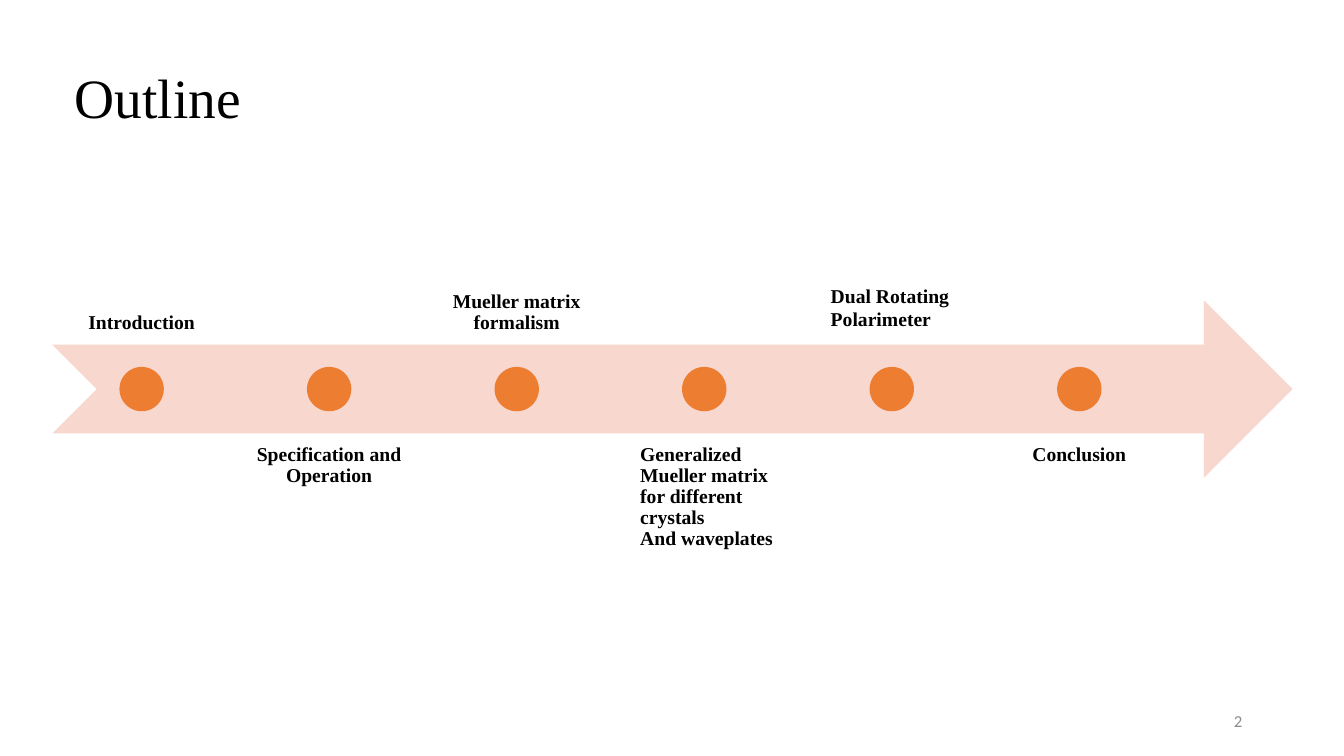
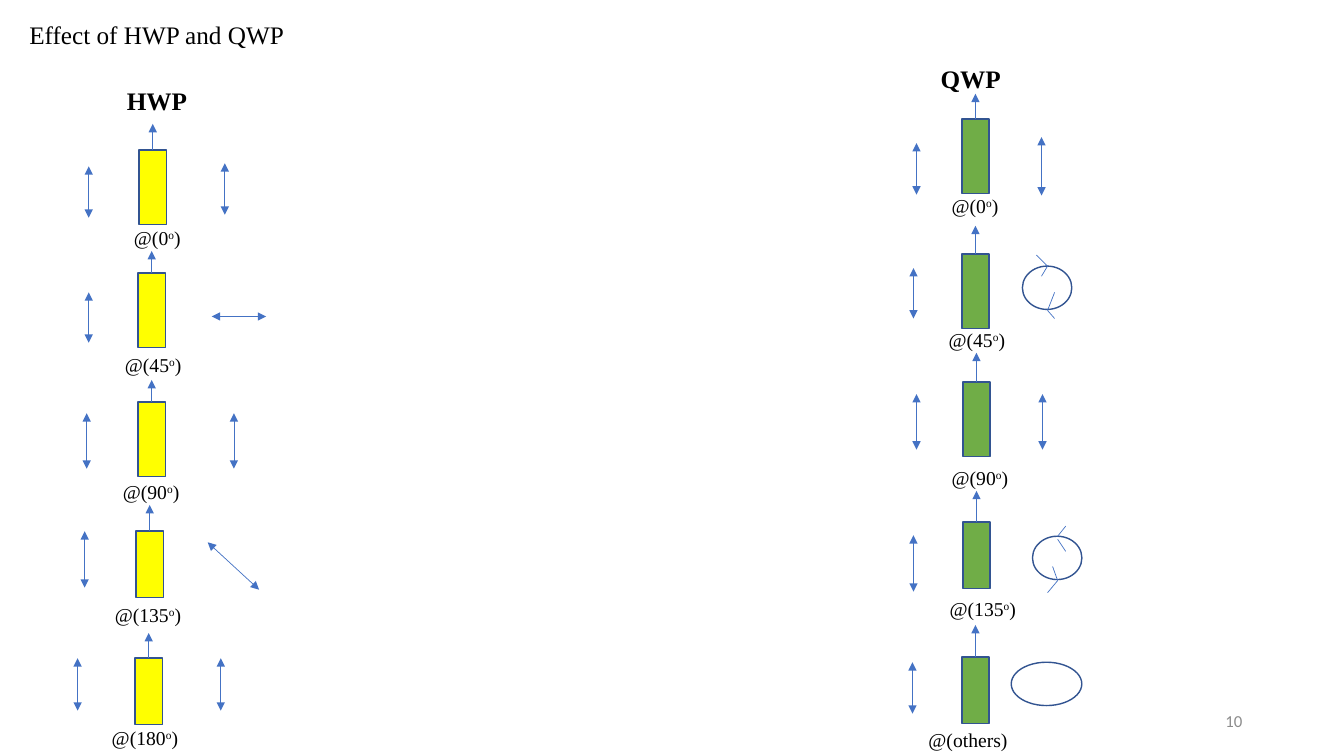
from collections import namedtuple

from lxml.etree import SubElement
from pptx import Presentation
from pptx.dml.color import RGBColor
from pptx.enum.shapes import MSO_CONNECTOR, MSO_SHAPE
from pptx.enum.text import MSO_ANCHOR, MSO_AUTO_SIZE, PP_ALIGN
from pptx.oxml.ns import qn
from pptx.util import Inches, Pt

SERIF = "Times New Roman"
BLACK, GREY = "000000", "8C8C8C"
PEACH, ORANGE = "F8D7CE", "ED7D31"
YELLOW, GREEN = "FFFF00", "70AD47"
OUTLINE, BEAM = "325491", "4472C4"

# Timeline grid
STEP, LABEL_W, LABEL_H, DOT = 1.86, 1.77, 1.76, 0.44
BAND_LEFT, BAND_TOP, BAND_W, BAND_H = 0.52, 2.98, 12.3, 1.76
ABOVE = {"top": 1.66, "anchor": MSO_ANCHOR.BOTTOM}
BELOW = {"top": 4.3, "anchor": MSO_ANCHOR.TOP}

# Wave plate rows
PLATE_W, PLATE_HEIGHTS = 0.27, (0.74, 0.74, 0.74, 0.66, 0.66)
Row = namedtuple("Row", "left top axis_tip in_x in_top in_bottom label_x label_y label")

HWP_ROWS = [
    Row(1.38, 1.49, 1.23, 0.88, 1.65, 2.16, 1.23, 2.19, "@(0^o^)"),
    Row(1.37, 2.71, 2.49, 0.88, 2.9, 3.4, 1.14, 3.45, "@(45^o^)"),
    Row(1.37, 3.99, 3.77, 0.86, 4.1, 4.65, 1.12, 4.71, "@(90^o^)"),
    Row(1.35, 5.27, 5.01, 0.84, 5.27, 5.83, 1.04, 5.93, "@(135^o^)"),
    Row(1.34, 6.53, 6.28, 0.77, 6.53, 7.05, 1.01, 7.15, "@(180^o^)"),
]
QWP_ROWS = [
    Row(9.54, 1.18, 0.93, 9.09, 1.42, 1.93, 9.34, 1.87, "@(0^o^)"),
    Row(9.54, 2.52, 2.24, 9.06, 2.66, 3.16, 9.31, 3.2, "@(45^o^)"),
    Row(9.55, 3.79, 3.5, 9.09, 3.91, 4.46, 9.34, 4.57, "@(90^o^)"),
    Row(9.55, 5.18, 4.87, 9.06, 5.31, 5.87, 9.32, 5.87, "@(135^o^)"),
    Row(9.54, 6.52, 6.2, 9.05, 6.57, 7.08, 9.11, 7.17, "@(others)"),
]
LINEAR_OUTPUTS = [
    (2.23, 1.62, 2.23, 2.13), (2.1, 3.14, 2.64, 3.14), (2.32, 4.1, 2.32, 4.65),
    (2.06, 5.38, 2.57, 5.85), (2.19, 6.53, 2.19, 7.05),
    (10.33, 1.36, 10.33, 1.94), (10.34, 3.91, 10.34, 4.46),
]
ELLIPTIC_OUTPUTS = [
    (10.14, 2.64, 0.49, 0.43), (10.24, 5.32, 0.49, 0.43), (10.03, 6.57, 0.7, 0.43),
]
ROTATION_TICKS = [
    (10.39, 2.64, 10.33, 2.74), (10.39, 2.64, 10.28, 2.53),
    (10.39, 3.08, 10.46, 2.9), (10.39, 3.08, 10.46, 3.16),
    (10.49, 5.32, 10.57, 5.22), (10.49, 5.35, 10.57, 5.47),
    (10.49, 5.76, 10.44, 5.62), (10.49, 5.76, 10.39, 5.88),
]


def rgb(value):
    return RGBColor.from_string(value)


def set_attrs(obj, values):
    for name, value in values.items():
        setattr(obj, name, value)


def write(tf, lines, size, color=BLACK, font=SERIF, bold=False, anchor=MSO_ANCHOR.TOP,
          align=PP_ALIGN.LEFT, spacing=1.0, inset=None):
    """Fill a text frame; text between ^ marks is superscript."""
    set_attrs(tf, {"word_wrap": True, "auto_size": MSO_AUTO_SIZE.NONE,
                   "vertical_anchor": anchor})
    if inset is not None:
        for side in ("left", "top", "right", "bottom"):
            setattr(tf, f"margin_{side}", Inches(inset))
    for i, line in enumerate(lines):
        p = tf.add_paragraph() if i else tf.paragraphs[0]
        set_attrs(p, {"alignment": align, "line_spacing": spacing})
        for j, piece in enumerate(line.split("^")):
            r = p.add_run()
            r.text = piece
            set_attrs(r.font, {"name": font, "size": Pt(size), "bold": bold})
            r.font.color.rgb = rgb(color)
            if j % 2:
                r.font._element.set("baseline", "30000")


def text(s, box, lines, size, **style):
    tb = s.shapes.add_textbox(*map(Inches, box))
    write(tb.text_frame, lines, size, **style)


def shape(s, kind, box, fill=None, line=None):
    sp = s.shapes.add_shape(kind, *map(Inches, box))
    sp.shadow.inherit = False
    if fill:
        sp.fill.solid()
        sp.fill.fore_color.rgb = rgb(fill)
    else:
        sp.fill.background()
    if line:
        sp.line.color.rgb = rgb(line)
        sp.line.width = Pt(1)
    else:
        sp.line.fill.background()


def beam(s, ends, head=False, tail=False):
    """Thin line; head and tail put arrowheads at its start and its end."""
    c = s.shapes.add_connector(MSO_CONNECTOR.STRAIGHT, *map(Inches, ends))
    c.line.color.rgb = rgb(BEAM)
    c.line.width = Pt(0.5)
    ln = c.line._get_or_add_ln()
    for tag, wanted in (("a:headEnd", head), ("a:tailEnd", tail)):
        if wanted:
            SubElement(ln, qn(tag), type="triangle")
    SubElement(c._element.spPr, qn("a:effectLst"))


def new_slide(prs, title, box, size, number, **style):
    s = prs.slides.add_slide(prs.slide_layouts[5])
    names = ("left", "top", "width", "height")
    set_attrs(s.shapes.title, dict(zip(names, map(Inches, box))))
    write(s.shapes.title.text_frame, [title], size, **style)
    text(s, (9.42, 6.95, 3, 0.4), [number], 12, color=GREY, font="Calibri",
         anchor=MSO_ANCHOR.MIDDLE, align=PP_ALIGN.RIGHT)
    return s


def milestone(s, column, lines, top, shift=0, **style):
    left = BAND_LEFT + column * STEP
    dot_left = left + (LABEL_W - DOT) / 2
    dot_top = BAND_TOP + (BAND_H - DOT) / 2
    shape(s, MSO_SHAPE.OVAL, (dot_left, dot_top, DOT, DOT), ORANGE)
    look = {"align": PP_ALIGN.CENTER, "spacing": 0.9, "inset": 0.11} | style
    text(s, (left + shift, top, LABEL_W, LABEL_H), lines, 14, bold=True, **look)


def outline_slide(prs):
    s = new_slide(prs, "Outline", (0.64, 0.77, 12.06, 0.46), 39.6, "2",
                  anchor=MSO_ANCHOR.MIDDLE, spacing=0.9)
    shape(s, MSO_SHAPE.NOTCHED_RIGHT_ARROW, (BAND_LEFT, BAND_TOP, BAND_W, BAND_H), PEACH)
    left = {"align": PP_ALIGN.LEFT}
    milestones = [
        (["Introduction"], ABOVE),
        (["Specification and Operation"], BELOW),
        (["Mueller matrix formalism"], ABOVE),
        (["Generalized Mueller matrix for different crystals", "And waveplates"],
         BELOW | left | {"shift": 0.14, "spacing": Pt(15)}),
        (["Dual Rotating Polarimeter"],
         ABOVE | left | {"top": 1.63, "shift": 0.17, "spacing": 1.0}),
        (["Conclusion"], BELOW),
    ]
    for column, (lines, style) in enumerate(milestones):
        milestone(s, column, lines, **style)


def plate_row(s, row, height, fill):
    axis_x = row.left + PLATE_W / 2
    shape(s, MSO_SHAPE.RECTANGLE, (row.left, row.top, PLATE_W, height), fill, OUTLINE)
    beam(s, (axis_x, row.top, axis_x, row.axis_tip), tail=True)
    beam(s, (row.in_x, row.in_top, row.in_x, row.in_bottom), head=True, tail=True)
    text(s, (row.label_x, row.label_y, 1.2, 0.34), [row.label], 14)


def wave_plate_slide(prs):
    s = new_slide(prs, "Effect of HWP and QWP", (0.19, 0.14, 10.55, 0.4), 18, "10")
    columns = [("HWP", 1.16, 0.8, YELLOW, HWP_ROWS), ("QWP", 9.23, 0.58, GREEN, QWP_ROWS)]
    for name, x, y, fill, rows in columns:
        text(s, (x, y, 0.91, 0.41), [name], 18, bold=True)
        for row, height in zip(rows, PLATE_HEIGHTS):
            plate_row(s, row, height, fill)
    for ends in LINEAR_OUTPUTS:
        beam(s, ends, head=True, tail=True)
    for box in ELLIPTIC_OUTPUTS:
        shape(s, MSO_SHAPE.OVAL, box, line=OUTLINE)
    for ends in ROTATION_TICKS:
        beam(s, ends)


def main():
    prs = Presentation()
    set_attrs(prs, {"slide_width": Inches(13.33), "slide_height": Inches(7.5)})
    outline_slide(prs)
    wave_plate_slide(prs)
    prs.save("out.pptx")


if __name__ == "__main__":
    main()
